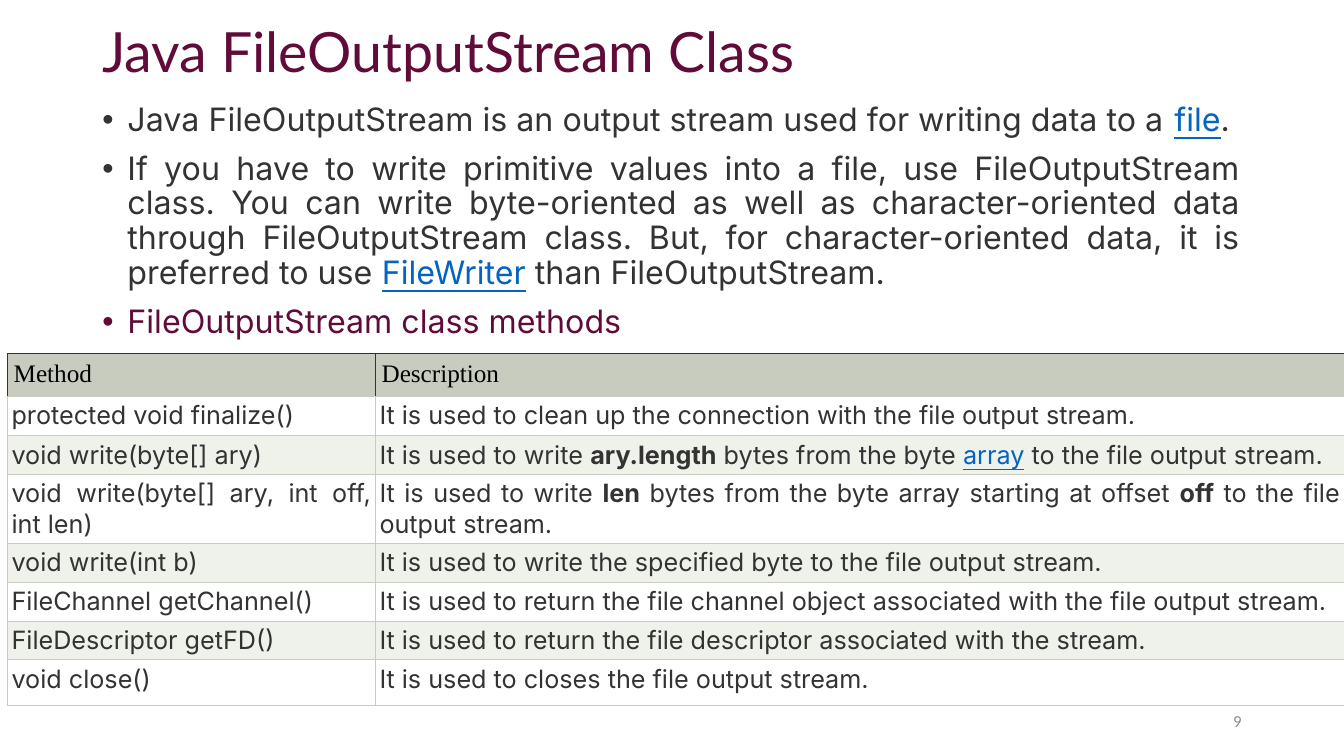
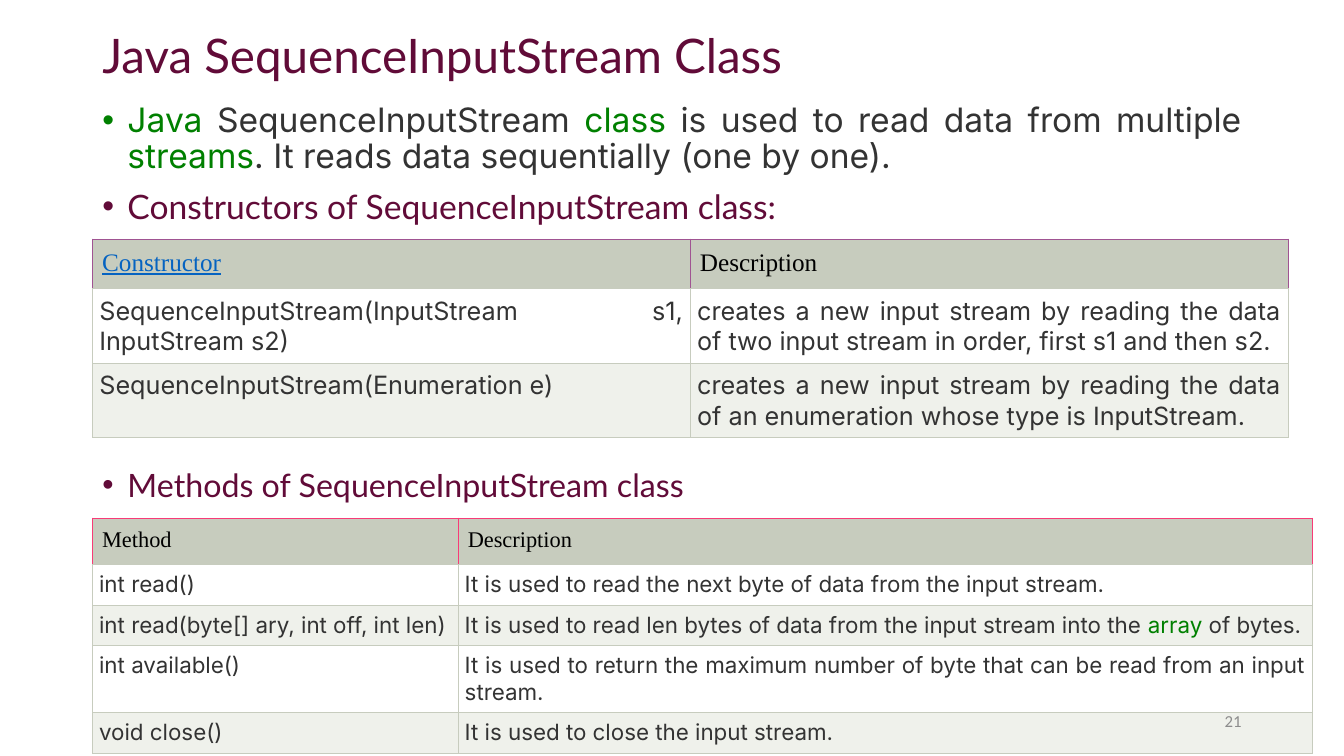
from dataclasses import dataclass
from typing import NamedTuple, Optional, Union

from lxml.etree import SubElement
from pptx import Presentation
from pptx.dml.color import RGBColor
from pptx.enum.text import MSO_ANCHOR as Anchor, PP_ALIGN as Align
from pptx.oxml import parse_xml
from pptx.oxml.ns import nsdecls, qn
from pptx.util import Pt

PLUM, INK, LINK, GREEN = "610B38", "333333", "0563C1", "008000"
BLACK, GRAY, SAGE = "000000", "8C8C8C", "C7CCBE"
ROW_FILLS = ("FFFFFF", "EFF1EB")
HEADING, BODY, TABLE_HEAD, NUMBER = "Lato", "Inter", "Times New Roman", "Calibri"
MARGIN, CONTENT_WIDTH = 66, 828


class Span(NamedTuple):
    text: str
    color: Optional[str] = None
    bold: bool = False
    underline: bool = False


Rich = Union[str, list[Union[str, Span]]]


@dataclass
class Bullet:
    text: Rich
    size: float
    font: str = BODY
    color: str = INK
    before: float = 10


@dataclass
class Grid:
    left: float
    top: float
    widths: tuple[float, ...]
    heights: tuple[float, ...]
    head_border: str
    size: float
    head_inset: float
    inset: float
    head: tuple[Rich, ...]
    rows: list[tuple[Rich, ...]]


@dataclass
class Page:
    title: str
    title_top: float
    title_height: float
    title_size: float
    bullets: list[Bullet]
    grids: list[Grid]
    number: int


def link(text: str) -> Span:
    return Span(text, LINK, underline=True)


def bold(text: str) -> Span:
    return Span(text, bold=True)


def green(text: str) -> Span:
    return Span(text, GREEN)


def rgb(value: str) -> RGBColor:
    return RGBColor.from_string(value)


def write(paragraph, text: Rich, *, size: float, font: str, color: str,
          align=Align.LEFT, spacing: float = 1, before: float = 0) -> None:
    paragraph.alignment = align
    paragraph.line_spacing = spacing
    paragraph.space_before = Pt(before)
    for part in [text] if isinstance(text, str) else text:
        span = Span(part) if isinstance(part, str) else part
        run = paragraph.add_run()
        run.text = span.text
        run.font.name = font
        run.font.size = Pt(size)
        run.font.bold = span.bold
        run.font.underline = span.underline
        run.font.color.rgb = rgb(span.color or color)


def add_frame(slide, left: float, top: float, width: float, height: float,
              anchor=Anchor.MIDDLE):
    frame = slide.shapes.add_textbox(Pt(left), Pt(top), Pt(width), Pt(height)).text_frame
    frame.word_wrap = True
    frame.vertical_anchor = anchor
    return frame


def add_bullets(slide, bullets: list[Bullet]) -> None:
    frame = add_frame(slide, MARGIN, 70.5, CONTENT_WIDTH, 343, Anchor.TOP)
    for index, bullet in enumerate(bullets):
        paragraph = frame.add_paragraph() if index else frame.paragraphs[0]
        props = paragraph._p.get_or_add_pPr()
        props.set("marL", str(Pt(18)))
        props.set("indent", str(Pt(-18)))
        SubElement(props, qn("a:buFont")).set("typeface", "Arial")
        SubElement(props, qn("a:buChar")).set("char", "•")
        write(paragraph, bullet.text, size=bullet.size, font=bullet.font,
              color=bullet.color, align=Align.JUSTIFY, spacing=0.9,
              before=bullet.before if index else 0)


def set_borders(cell, sides: str, bottom: str) -> None:
    props = cell._tc.get_or_add_tcPr()
    for index, side in enumerate("LRTB"):
        color = bottom if side == "B" else sides
        props.insert(index, parse_xml(
            f'<a:ln{side} {nsdecls("a")} w="{Pt(0.6)}"><a:solidFill>'
            f'<a:srgbClr val="{color}"/></a:solidFill></a:ln{side}>'))


def add_grid(slide, grid: Grid) -> None:
    table = slide.shapes.add_table(
        len(grid.heights), len(grid.widths), Pt(grid.left), Pt(grid.top),
        Pt(sum(grid.widths)), Pt(sum(grid.heights))).table
    table.first_row = table.horz_banding = False
    for column, width in zip(table.columns, grid.widths):
        column.width = Pt(width)
    for r, (height, texts) in enumerate(zip(grid.heights, [grid.head, *grid.rows])):
        table.rows[r].height = Pt(height)
        is_head = r == 0
        inset = Pt(grid.head_inset if is_head else grid.inset)
        for c, text in enumerate(texts):
            cell = table.cell(r, c)
            cell.margin_left = cell.margin_right = inset
            cell.margin_top = cell.margin_bottom = inset
            cell.fill.solid()
            cell.fill.fore_color.rgb = rgb(SAGE if is_head else ROW_FILLS[(r - 1) % 2])
            set_borders(cell, grid.head_border if is_head else SAGE, SAGE)
            write(cell.text_frame.paragraphs[0], text, size=grid.size,
                  font=TABLE_HEAD if is_head else BODY,
                  color=BLACK if is_head else INK,
                  align=Align.LEFT if is_head else Align.JUSTIFY)


def add_page(deck, page: Page) -> None:
    slide = deck.slides.add_slide(deck.slide_layouts[6])
    title = add_frame(slide, MARGIN, page.title_top, CONTENT_WIDTH, page.title_height)
    write(title.paragraphs[0], page.title, size=page.title_size, font=HEADING,
          color=PLUM, spacing=0.9)
    add_bullets(slide, page.bullets)
    for grid in page.grids:
        add_grid(slide, grid)
    number = add_frame(slide, 678, 500.5, 216, 28.8)
    write(number.paragraphs[0], str(page.number), size=12, font=NUMBER,
          color=GRAY, align=Align.RIGHT)


PAGES = [
    Page(
        "Java FileOutputStream Class", 13.7, 50.4, 39.6,
        [
            Bullet(["Java FileOutputStream is an output stream used for writing data to a ",
                    link("file"), "."], 23),
            Bullet(["If you have to write primitive values into a file, use FileOutputStream "
                    "class. You can write byte-oriented as well as character-oriented data "
                    "through FileOutputStream class. But, for character-oriented data, it is "
                    "preferred to use ", link("FileWriter"), " than FileOutputStream."], 23),
            Bullet("FileOutputStream class methods", 23, color=PLUM),
        ],
        [Grid(
            5.3, 252.4, (262.8, 691.9), (28.6, 28.3, 27.5, 49.3, 27.7, 27.7, 27.5, 32.7),
            "600D85", 18, 4.5, 3, ("Method", "Description"),
            [
                ("protected void finalize()",
                 "It is used to clean up the connection with the file output stream."),
                ("void write(byte[] ary)",
                 ["It is used to write ", bold("ary.length"), " bytes from the byte ",
                  link("array"), " to the file output stream."]),
                ("void write(byte[] ary, int off, int len)",
                 ["It is used to write ", bold("len"),
                  " bytes from the byte array starting at offset ", bold("off"),
                  " to the file output stream."]),
                ("void write(int b)",
                 "It is used to write the specified byte to the file output stream."),
                ("FileChannel getChannel()",
                 "It is used to return the file channel object associated with the file "
                 "output stream."),
                ("FileDescriptor getFD()",
                 "It is used to return the file descriptor associated with the stream."),
                ("void close()", "It is used to closes the file output stream."),
            ])],
        9),
    Page(
        "Java SequenceInputStream Class", 28.8, 25.2, 34,
        [
            Bullet([green("Java "), "SequenceInputStream ", green("class "),
                    "is used to read data from multiple ", green("streams"),
                    ". It reads data sequentially (one by one)."], 24),
            Bullet("Constructors of SequenceInputStream class:", 24, HEADING, PLUM),
            Bullet("Methods of SequenceInputStream class", 23, HEADING, PLUM, before=173.5),
        ],
        [
            Grid(
                MARGIN, 170.7, (427, 427), (34.5, 52.8, 52.8), "A05392", 18, 7, 5,
                ([link("Constructor")], "Description"),
                [
                    ("SequenceInputStream(InputStream s1, InputStream s2)",
                     "creates a new input stream by reading the data of two input stream "
                     "in order, first s1 and then s2."),
                    ("SequenceInputStream(Enumeration e)",
                     "creates a new input stream by reading the data of an enumeration "
                     "whose type is InputStream."),
                ]),
            Grid(
                MARGIN, 370, (261.2, 610.2), (32.2, 28.9, 28.9, 48, 28.9), "F83B77", 16, 7, 4.8,
                ("Method", "Description"),
                [
                    ("int read()",
                     "It is used to read the next byte of data from the input stream."),
                    ("int read(byte[] ary, int off, int len)",
                     ["It is used to read len bytes of data from the input stream into the ",
                      green("array "), "of bytes."]),
                    ("int available()",
                     "It is used to return the maximum number of byte that can be read from "
                     "an input stream."),
                    ("void close()", "It is used to close the input stream."),
                ]),
        ],
        21),
]


def main() -> None:
    deck = Presentation()
    deck.slide_width, deck.slide_height = Pt(960), Pt(540)
    for page in PAGES:
        add_page(deck, page)
    deck.save("out.pptx")


if __name__ == "__main__":
    main()
